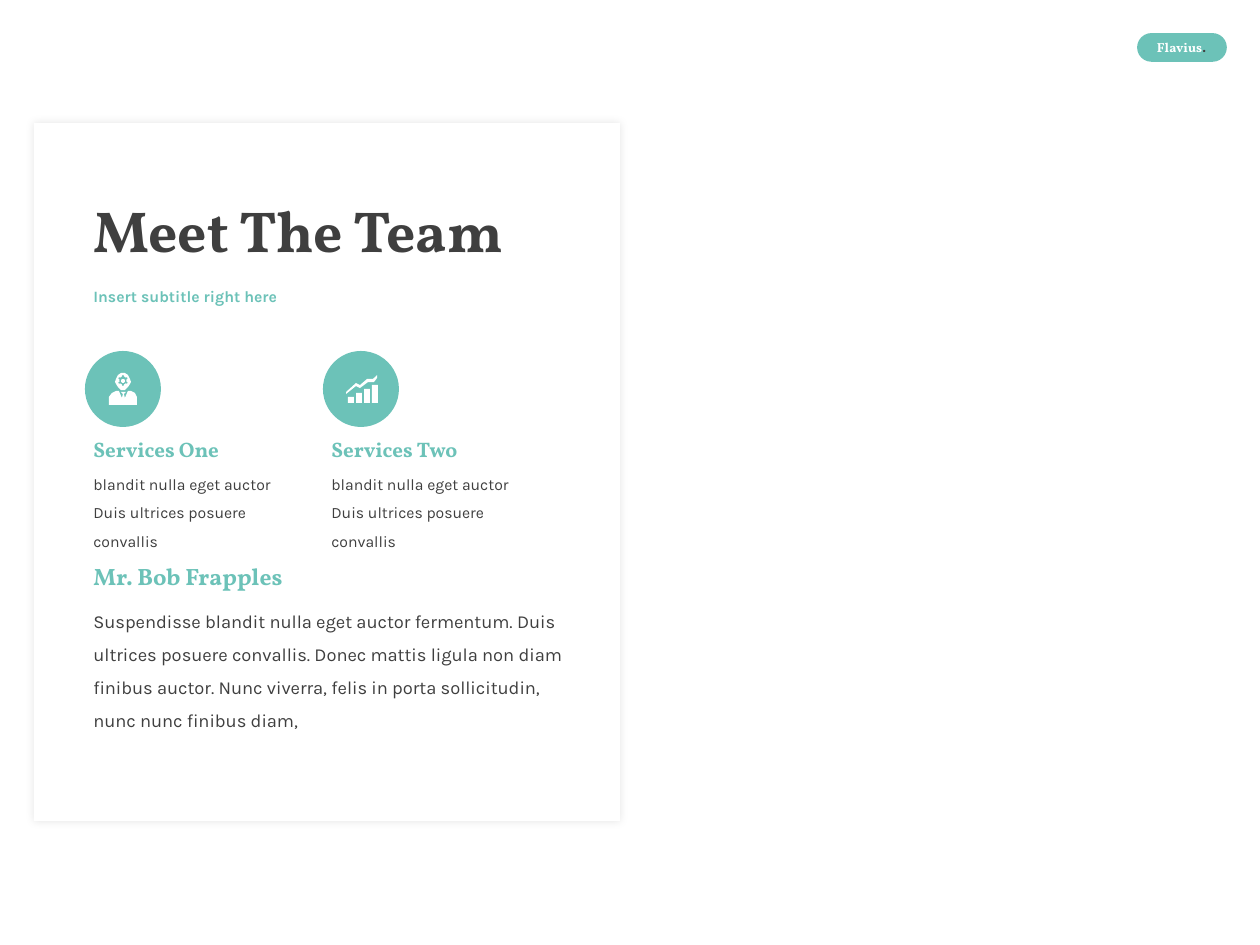
"""Build the Meet The Team slide."""
import pptx
import pptx.dml.color
import pptx.enum.shapes
import pptx.enum.text
import pptx.oxml
import pptx.oxml.ns
import pptx.util

SCALE = 914400 / 126
TEAL, DARK, WHITE = "6CC2B8", "3F3F3F", "FFFFFF"
SERIF, SANS = "Vollkorn", "Karla"
KIND = pptx.enum.shapes.MSO_SHAPE
BLURB = "blandit nulla eget auctor Duis ultrices posuere convallis"
STORY = (
    "Suspendisse blandit nulla eget auctor fermentum. Duis ultrices posuere "
    "convallis. Donec mattis ligula non diam finibus auctor. Nunc viverra, "
    "felis in porta sollicitudin, nunc nunc finibus diam,"
)
BODY = [(116, 391), (119, 391), (122, 398), (123, 394), (121, 392),
        (126, 392), (124, 394), (125, 398), (128, 391), (131, 391),
        (135, 393), (137, 397), (137, 405), (109, 405), (109, 397),
        (112, 393)]
HEAD = [(116, 379), (118, 375), (121, 373), (125, 373), (128, 375),
        (130, 379), (131, 382), (130, 384), (128, 387), (125, 390),
        (121, 390), (118, 387), (116, 384), (115, 382)]
TREND = [(373, 379), (367, 379), (360, 385), (356, 383), (346, 392),
         (346, 394), (356, 386), (360, 388), (368, 382), (374, 382),
         (377, 378), (377, 375)]


def emu(px):
    """Turn px into EMU."""
    return round(px * SCALE)


def hue(code):
    """Turn a hex string into a colour."""
    return pptx.dml.color.RGBColor.from_string(code)


def paint(shape, code):
    """Give a shape a plain fill with no line or shadow."""
    shape.shadow.inherit = False
    shape.fill.solid()
    shape.fill.fore_color.rgb = hue(code)
    shape.line.fill.background()
    return shape


def block(shapes, kind, box, code):
    """Add a filled preset shape."""
    return paint(shapes.add_shape(kind, *map(emu, box)), code)


def outline(shapes, points, code):
    """Add a filled polygon."""
    pen = shapes.build_freeform(*points[0], scale=SCALE)
    pen.add_line_segments(points[1:], close=True)
    return paint(pen.convert_to_shape(), code)


def style(frame, words, face, size, code, bold=False, space=1.0):
    """Write one left-aligned paragraph in a frame."""
    frame.word_wrap = True
    para = frame.paragraphs[0]
    para.add_run().text = words
    para.alignment = pptx.enum.text.PP_ALIGN.LEFT
    para.line_spacing = space
    font = para.font
    font.name, font.size, font.bold = face, pptx.util.Pt(size), bold
    font.color.rgb = hue(code)
    return para


def text(slide, box, *look, **more):
    """Add a text box that grows with its text."""
    frame = slide.shapes.add_textbox(*map(emu, box)).text_frame
    para = style(frame, *look, **more)
    frame.auto_size = pptx.enum.text.MSO_AUTO_SIZE.SHAPE_TO_FIT_TEXT
    return para


def badge(slide):
    """Add the name pill at the top right."""
    pill = block(slide.shapes, KIND.ROUNDED_RECTANGLE, (1138, 34, 88, 27), TEAL)
    pill.adjustments[0] = 0.5
    pill.line.color.rgb = hue(TEAL)
    pill.line.width = pptx.util.Pt(1)
    para = text(slide, (1142, 33, 79, 29), "Flavius", SERIF, 7.5, WHITE, True)
    para.alignment = pptx.enum.text.PP_ALIGN.CENTER
    dot = para.add_run()
    dot.text = "."
    dot.font.color.rgb = hue(DARK)


def card(slide):
    """Add the white panel with its soft shadow."""
    panel = block(slide.shapes, KIND.RECTANGLE, (34, 123, 586, 698), WHITE)
    glow = panel.element.spPr.find(pptx.oxml.ns.qn("a:effectLst"))
    glow.append(pptx.oxml.parse_xml(
        f'<a:outerShdw {pptx.oxml.ns.nsdecls("a")} blurRad="63500" dist="0" '
        'dir="0" algn="ctr" rotWithShape="0"><a:srgbClr val="000000">'
        '<a:alpha val="9000"/></a:srgbClr></a:outerShdw>'))


def heading(slide):
    """Fill the title and add the subtitle."""
    title = slide.shapes.title
    title.left, title.top, title.width, title.height = map(
        emu, (81, 169, 709, 130))
    style(title.text_frame, "Meet The Team", SERIF, 33, DARK, True, 0.9)
    sub = slide.shapes.add_textbox(*map(emu, (81, 273, 709, 48))).text_frame
    style(sub, "Insert subtitle right here", SANS, 9, TEAL, True, 0.9)
    for frame in (title.text_frame, sub):
        frame.vertical_anchor = pptx.enum.text.MSO_ANCHOR.MIDDLE


def service(slide, left, name):
    """Add a disc with a heading and a blurb below."""
    block(slide.shapes, KIND.OVAL, (left + 4, 351, 76, 76), TEAL)
    text(slide, (left, 459, 229, 67), BLURB, SANS, 9, DARK, space=1.5)
    text(slide, (left, 430, 184, 38), name, SERIF, 12, TEAL, True)


def person(slide):
    """Draw the thinker icon."""
    shapes = slide.shapes.add_group_shape().shapes
    outline(shapes, BODY, WHITE)
    outline(shapes, HEAD, WHITE)
    block(shapes, KIND.GEAR_6, (118, 375, 10, 11), TEAL)
    block(shapes, KIND.OVAL, (121, 379, 4, 4), WHITE)


def growth(slide):
    """Draw the rising bars icon."""
    shapes = slide.shapes.add_group_shape().shapes
    for i in range(4):
        tall = 6 + 4 * i
        block(shapes, KIND.RECTANGLE, (348 + 8 * i, 403 - tall, 6, tall), WHITE)
    outline(shapes, TREND, WHITE)


def main():
    """Build and save the slide."""
    deck = pptx.Presentation()
    deck.slide_width, deck.slide_height = emu(1260), emu(945)
    slide = deck.slides.add_slide(deck.slide_layouts.get_by_name("Title Only"))
    badge(slide)
    card(slide)
    text(slide, (81, 593, 514, 110), STORY, SANS, 10.5, DARK, space=1.5)
    text(slide, (81, 556, 229, 42), "Mr. Bob Frapples", SERIF, 13.5, TEAL, True)
    service(slide, 81, "Services One")
    service(slide, 319, "Services Two")
    person(slide)
    growth(slide)
    heading(slide)
    tree = slide.shapes.title.element.getparent()
    tree.append(slide.shapes.title.element)
    deck.save("out.pptx")


if __name__ == "__main__":
    main()
